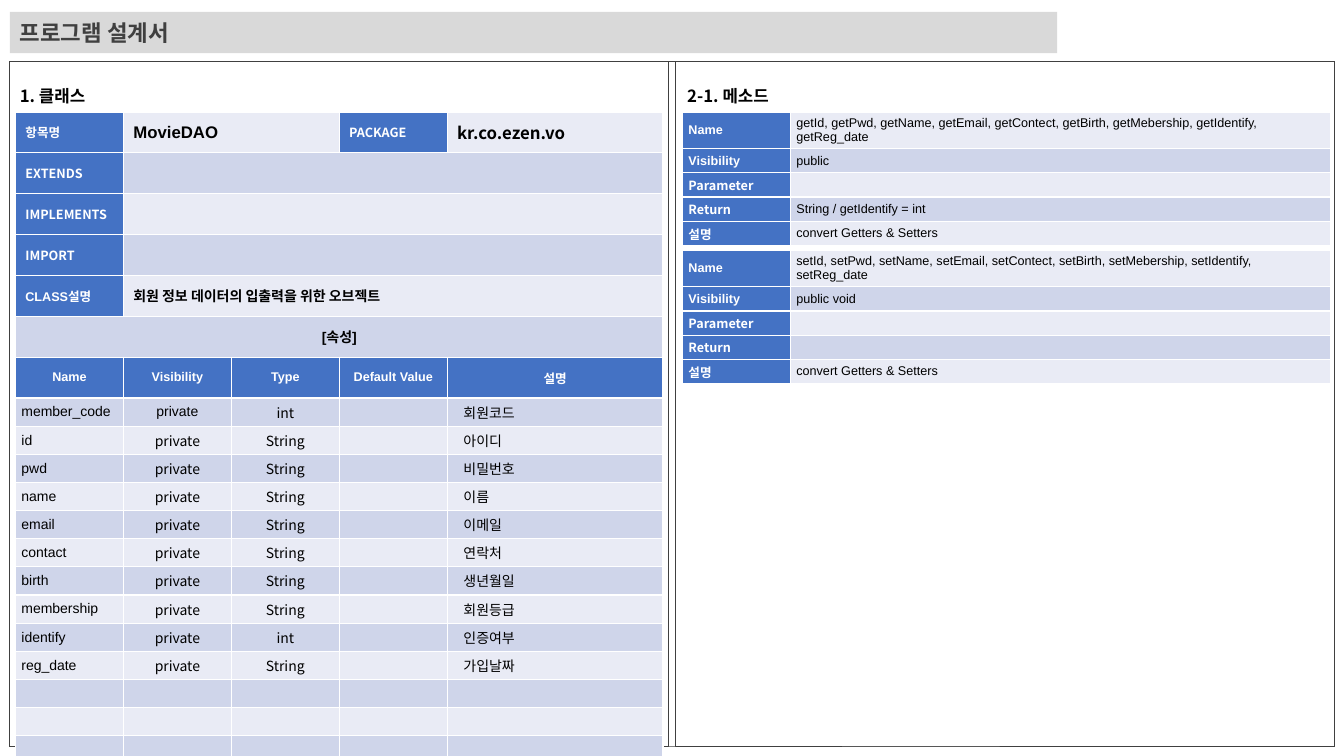
"""Build the class and method design sheet for MovieDAO."""
from dataclasses import dataclass, replace

import lxml.etree
import pptx
import pptx.dml.color
import pptx.enum.shapes
import pptx.enum.text
import pptx.oxml.ns
import pptx.shapes.autoshape
import pptx.slide
import pptx.table
import pptx.text.text
import pptx.util

Cm = pptx.util.Cm
Pt = pptx.util.Pt
RGBColor = pptx.dml.color.RGBColor
qn = pptx.oxml.ns.qn
LEFT = pptx.enum.text.PP_ALIGN.LEFT
CENTER = pptx.enum.text.PP_ALIGN.CENTER
MIDDLE = pptx.enum.text.MSO_ANCHOR.MIDDLE
TOP = pptx.enum.text.MSO_ANCHOR.TOP

ARIAL = "Arial"
NOTO = "Noto Sans CJK KR"
BLACK = RGBColor(0x00, 0x00, 0x00)
WHITE = RGBColor(0xFF, 0xFF, 0xFF)
CHARCOAL = RGBColor(0x40, 0x40, 0x40)
BANNER_GRAY = RGBColor(0xD9, 0xD9, 0xD9)
LABEL_BLUE = RGBColor(0x44, 0x72, 0xC4)
BANDS = (RGBColor(0xE9, 0xEB, 0xF5), RGBColor(0xCF, 0xD5, 0xEA))

WIDE_INSET = (0.25, 0.13, 0.25, 0.13)
FIELD_INSET = (0.15, 0.1, 0.15, 0.1)
METHOD_INSET = (0.15, 0.08, 0.15, 0.08)
NO_INSET = (0, 0, 0, 0)
NOTE_INSET = (0.41, 0, 0, 0)

PANEL_TOP, PANEL_HEIGHT = 1.55, 17.25
PANEL_LEFTS = (0.23, 17.02)
PANEL_WIDTH = 16.61
TABLE_TOP = 2.82
UNIT = 2.72
CLASS_ROW, FIELD_ROW, METHOD_ROW = 1.03, 0.62, 0.61
SPARE_ROWS = 3


@dataclass(frozen=True)
class Cell:
    """One table cell with its text format and column span."""
    text: str = ""
    size: float = 9
    font: str = ARIAL
    bold: bool = True
    align: pptx.enum.text.PP_ALIGN = LEFT
    inset: tuple[float, ...] = WIDE_INSET
    span: int = 1
    label: bool = False


@dataclass(frozen=True)
class Field:
    """One attribute of the class."""
    name: str
    kind: str
    note: str
    visibility_font: str = NOTO


@dataclass(frozen=True)
class Method:
    """One group of methods and the top of its table."""
    top: float
    names: str
    visibility: str
    returned: str = ""


FIELDS = [
    Field("member_code", "int", "회원코드", ARIAL),
    Field("id", "String", "아이디"),
    Field("pwd", "String", "비밀번호"),
    Field("name", "String", "이름"),
    Field("email", "String", "이메일"),
    Field("contact", "String", "연락처"),
    Field("birth", "String", "생년월일"),
    Field("membership", "String", "회원등급"),
    Field("identify", "int", "인증여부"),
    Field("reg_date", "String", "가입날짜"),
]
METHODS = [
    Method(TABLE_TOP, "getId, getPwd, getName, getEmail, getContect, getBirth, "
           "getMebership, getIdentify, getReg_date",
           "public", "String / getIdentify = int"),
    Method(6.3, "setId, setPwd, setName, setEmail, setContect, setBirth, "
           "setMebership, setIdentify, setReg_date", "public void"),
]


def write_text(frame: pptx.text.text.TextFrame, text: str, *, size: float, font: str,
               color: RGBColor = BLACK, bold: bool = True,
               align: pptx.enum.text.PP_ALIGN = LEFT,
               anchor: pptx.enum.text.MSO_ANCHOR = MIDDLE) -> None:
    """Write one formatted paragraph, keeping the text size when it is empty."""
    frame.word_wrap = True
    frame.vertical_anchor = anchor
    paragraph = frame.paragraphs[0]
    paragraph.alignment = align
    if not text:
        ending = lxml.etree.SubElement(paragraph._p, qn("a:endParaRPr"), sz=str(int(size * 100)))
        for script in ("a:latin", "a:ea"):
            lxml.etree.SubElement(ending, qn(script), typeface=font)
        return
    run = paragraph.add_run()
    run.text = text
    run.font.size = Pt(size)
    run.font.bold = bold
    run.font.color.rgb = color
    run.font.name = font
    lxml.etree.SubElement(run._r.get_or_add_rPr(), qn("a:ea"), typeface=NOTO)


def add_box(slide: pptx.slide.Slide, left: float, top: float, width: float, height: float,
            fill: RGBColor | None = None) -> pptx.shapes.autoshape.Shape:
    """Add a filled rectangle, or a thin outline when no fill is given."""
    box = slide.shapes.add_shape(pptx.enum.shapes.MSO_SHAPE.RECTANGLE,
                                 Cm(left), Cm(top), Cm(width), Cm(height))
    box.shadow.inherit = False
    if fill is None:
        box.fill.background()
        box.line.color.rgb = CHARCOAL
        box.line.width = Pt(0.5)
    else:
        box.fill.solid()
        box.fill.fore_color.rgb = fill
        box.line.fill.background()
    return box


def add_heading(slide: pptx.slide.Slide, left: float, text: str) -> None:
    """Add the heading above a table."""
    heading = slide.shapes.add_textbox(Cm(left), Cm(2.03), Cm(3.94), Cm(0.76))
    write_text(heading.text_frame, text, size=12, font=NOTO, anchor=TOP)


def draw_cell(target: pptx.table._Cell, cell: Cell, band: RGBColor) -> None:
    """Apply borders, fill, insets and text to a table cell."""
    properties = target._tc.get_or_add_tcPr()
    for side in ("a:lnL", "a:lnR", "a:lnT", "a:lnB"):
        border = lxml.etree.SubElement(properties, qn(side), w=str(Pt(1)))
        paint = lxml.etree.SubElement(border, qn("a:solidFill"))
        lxml.etree.SubElement(paint, qn("a:srgbClr"), val=str(WHITE))
    target.fill.solid()
    target.fill.fore_color.rgb = LABEL_BLUE if cell.label else band
    (target.margin_left, target.margin_top,
     target.margin_right, target.margin_bottom) = map(Cm, cell.inset)
    write_text(target.text_frame, cell.text, size=cell.size, font=cell.font, bold=cell.bold,
               color=WHITE if cell.label else BLACK, align=cell.align)
    target.vertical_anchor = MIDDLE


def add_grid(slide: pptx.slide.Slide, left: float, top: float, widths: list[float],
             heights: list[float], rows: list[list[Cell]]) -> None:
    """Add a banded table from rows of cells."""
    grid = slide.shapes.add_table(len(rows), len(widths), Cm(left), Cm(top),
                                  Cm(sum(widths)), Cm(sum(heights))).table
    grid.first_row = grid.horz_banding = False
    for column, width in zip(grid.columns, widths):
        column.width = Cm(width)
    for index, (cells, height) in enumerate(zip(rows, heights)):
        grid.rows[index].height = Cm(height)
        position = 0
        for cell in cells:
            for offset in range(cell.span):
                part = cell if offset == 0 else replace(cell, text="")
                draw_cell(grid.cell(index, position + offset), part, BANDS[index % 2])
            if cell.span > 1:
                grid.cell(index, position).merge(grid.cell(index, position + cell.span - 1))
            position += cell.span


def class_rows() -> list[list[Cell]]:
    """Return the rows of the class table."""
    rows = [[Cell("항목명", label=True), Cell("MovieDAO", 12, span=2),
             Cell("PACKAGE", font=NOTO, label=True), Cell("kr.co.ezen.vo", 12, NOTO)]]
    rows += [[Cell(name, font=NOTO, label=True), Cell(span=4)]
             for name in ("EXTENDS", "IMPLEMENTS", "IMPORT")]
    rows.append([Cell("CLASS설명", label=True),
                 Cell("회원 정보 데이터의 입출력을 위한 오브젝트", 10, span=4)])
    rows.append([Cell("[속성]", 10, align=CENTER, span=5)])
    rows.append([Cell(name, align=CENTER, label=True)
                 for name in ("Name", "Visibility", "Type", "Default Value", "설명")])
    plain = Cell(size=10, font=NOTO, bold=False, inset=FIELD_INSET)
    for field in FIELDS:
        rows.append([
            replace(plain, text=field.name, font=ARIAL),
            replace(plain, text="private", font=field.visibility_font, align=CENTER),
            replace(plain, text=field.kind, align=CENTER, inset=NO_INSET),
            plain,
            replace(plain, text=field.note, inset=NOTE_INSET)])
    return rows + [[plain] * 5 for _ in range(SPARE_ROWS)]


def method_rows(method: Method) -> list[list[Cell]]:
    """Return the rows of a method table."""
    entries = [("Name", method.names, ARIAL), ("Visibility", method.visibility, ARIAL),
               ("Parameter", "", NOTO), ("Return", method.returned, NOTO),
               ("설명", "convert Getters & Setters", ARIAL)]
    return [[Cell(name, font=font, inset=METHOD_INSET, label=True),
             Cell(value, bold=False, inset=METHOD_INSET)] for name, value, font in entries]


def main() -> None:
    """Build and save the slide."""
    deck = pptx.Presentation()
    deck.slide_width, deck.slide_height = Cm(33.87), Cm(19.05)
    slide = deck.slides.add_slide(deck.slide_layouts[6])
    banner = add_box(slide, 0.25, 0.3, 26.39, 1.04, BANNER_GRAY)
    write_text(banner.text_frame, "프로그램 설계서", size=16, font=NOTO, color=CHARCOAL)
    add_box(slide, PANEL_LEFTS[0], PANEL_TOP, 33.4, PANEL_HEIGHT)
    for left in PANEL_LEFTS:
        add_box(slide, left, PANEL_TOP, PANEL_WIDTH, PANEL_HEIGHT)
    add_grid(slide, 0.39, TABLE_TOP, [UNIT] * 4 + [2 * UNIT],
             [CLASS_ROW] * 7 + [FIELD_ROW] * (len(FIELDS) + SPARE_ROWS), class_rows())
    add_heading(slide, 0.25, "1. 클래스")
    add_heading(slide, 17.07, "2-1. 메소드")
    for method in METHODS:
        add_grid(slide, 17.2, method.top, [UNIT, 5 * UNIT], [METHOD_ROW] * 5,
                 method_rows(method))
    deck.save("out.pptx")


if __name__ == "__main__":
    main()
